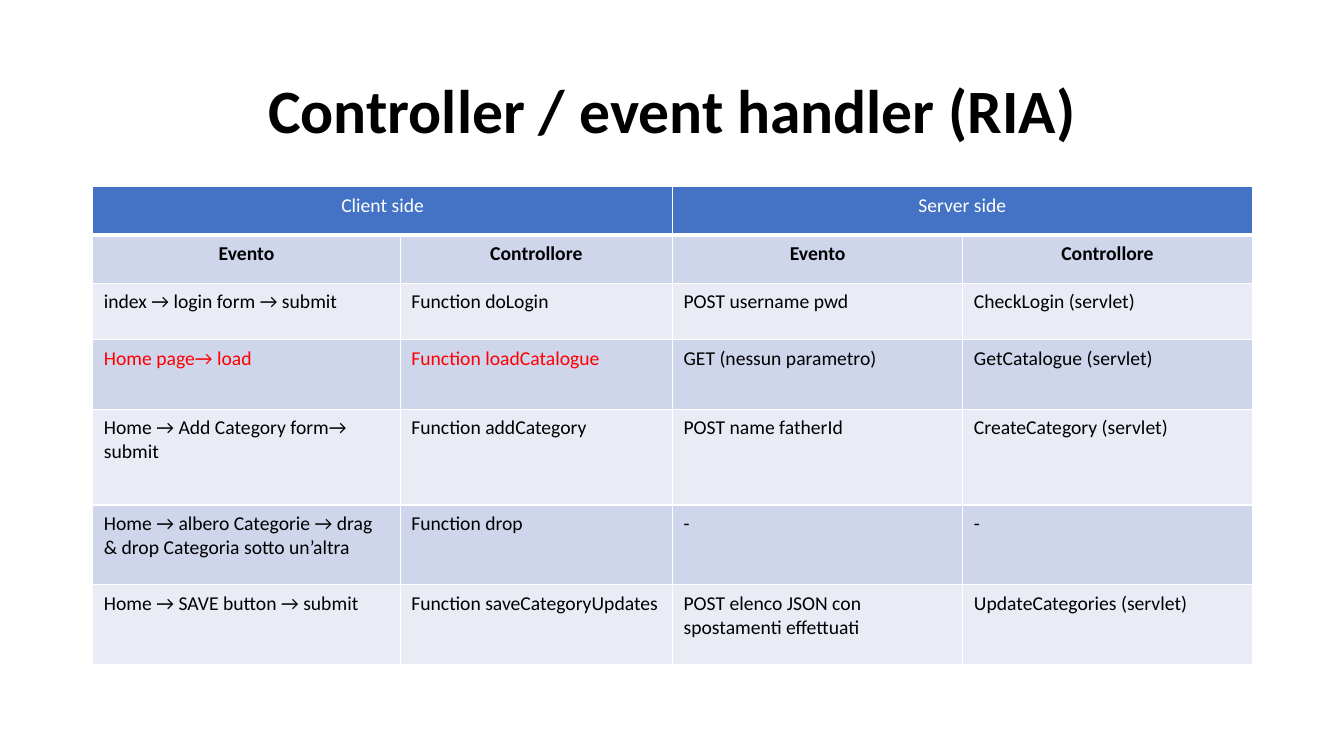
from lxml.etree import SubElement
from pptx import Presentation
from pptx.dml.color import RGBColor
from pptx.enum.text import MSO_ANCHOR, PP_ALIGN
from pptx.oxml.ns import qn
from pptx.util import Inches, Pt

WHITE, BLACK, RED = "FFFFFF", "000000", "FF0000"
HEADER_BLUE, BAND_DARK, BAND_LIGHT = "4472C4", "CFD5EA", "E9EBF5"


def write(frame, text, size=14, color=BLACK, bold=False, align=PP_ALIGN.LEFT):
    """Put one formatted paragraph in a text frame."""
    para = frame.paragraphs[0]
    para.alignment = align
    span = para.add_run()
    span.text = text
    span.font.name = "Calibri"
    span.font.size = Pt(size)
    span.font.bold = bold
    span.font.color.rgb = RGBColor.from_string(color)


def style_cell(cell, fill, bottom_width=1):
    """Give a cell white borders and a solid fill."""
    properties = cell._tc.get_or_add_tcPr()
    for side, width in (("L", 1), ("R", 1), ("T", 1), ("B", bottom_width)):
        line = SubElement(properties, qn(f"a:ln{side}"), w=str(Pt(width)))
        solid = SubElement(line, qn("a:solidFill"))
        SubElement(solid, qn("a:srgbClr"), val=WHITE)
    cell.fill.solid()
    cell.fill.fore_color.rgb = RGBColor.from_string(fill)


deck = Presentation()
deck.slide_width, deck.slide_height = Inches(13.33), Inches(7.5)
page = deck.slides.add_slide(deck.slide_layouts[5])

title = page.shapes.title
title.left, title.top = Inches(0.92), Inches(0.4)
title.width, title.height = Inches(11.5), Inches(1.45)
title.text_frame.vertical_anchor = MSO_ANCHOR.MIDDLE
title.text_frame.paragraphs[0].line_spacing = 0.9
write(title.text_frame, "Controller / event handler (RIA)", size=44, bold=True,
      align=PP_ALIGN.CENTER)

column_widths = [3.05, 2.7, 2.88, 2.87]
row_heights = [0.48, 0.48, 0.56, 0.69, 0.95, 0.79, 0.79]
rows = [
    ("Client side", "", "Server side", ""),
    ("Evento", "Controllore", "Evento", "Controllore"),
    ("index → login form → submit", "Function doLogin",
     "POST username pwd", "CheckLogin (servlet)"),
    ("Home page→ load", "Function loadCatalogue",
     "GET (nessun parametro)", "GetCatalogue (servlet)"),
    ("Home → Add Category form→ submit", "Function addCategory",
     "POST name fatherId", "CreateCategory (servlet)"),
    ("Home → albero Categorie → drag & drop Categoria sotto un’altra",
     "Function drop", "-", "-"),
    ("Home → SAVE button → submit", "Function saveCategoryUpdates",
     "POST elenco JSON con spostamenti effettuati", "UpdateCategories (servlet)"),
]
red_cells = {(3, 0), (3, 1)}

table = page.shapes.add_table(
    len(rows), len(column_widths), Inches(0.92), Inches(1.85),
    Inches(sum(column_widths)), Inches(sum(row_heights))).table
for column, width in zip(table.columns, column_widths):
    column.width = Inches(width)
for row, height in zip(table.rows, row_heights):
    row.height = Inches(height)
for first in (0, 2):
    table.cell(0, first).merge(table.cell(0, first + 1))

for row_index, texts in enumerate(rows):
    is_header = row_index == 0
    band = BAND_DARK if row_index % 2 else BAND_LIGHT
    align = PP_ALIGN.CENTER if row_index < 2 else PP_ALIGN.LEFT
    for column_index, text in enumerate(texts):
        cell = table.cell(row_index, column_index)
        cell.margin_left = cell.margin_right = Inches(0.11)
        cell.margin_top = cell.margin_bottom = Inches(0.07)
        style_cell(cell, HEADER_BLUE if is_header else band, 3 if is_header else 1)
        if text:
            color = RED if (row_index, column_index) in red_cells else BLACK
            write(cell.text_frame, text, color=WHITE if is_header else color,
                  bold=row_index == 1, align=align)

deck.save("out.pptx")
